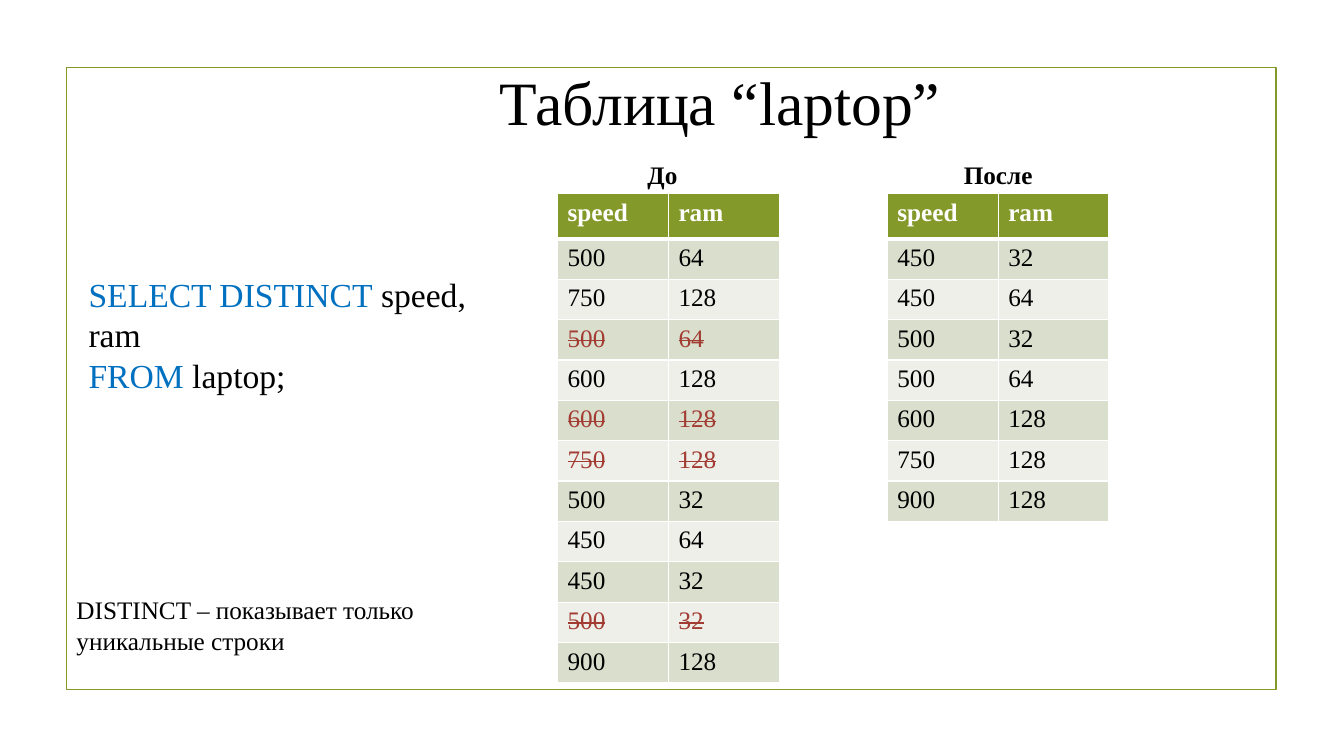
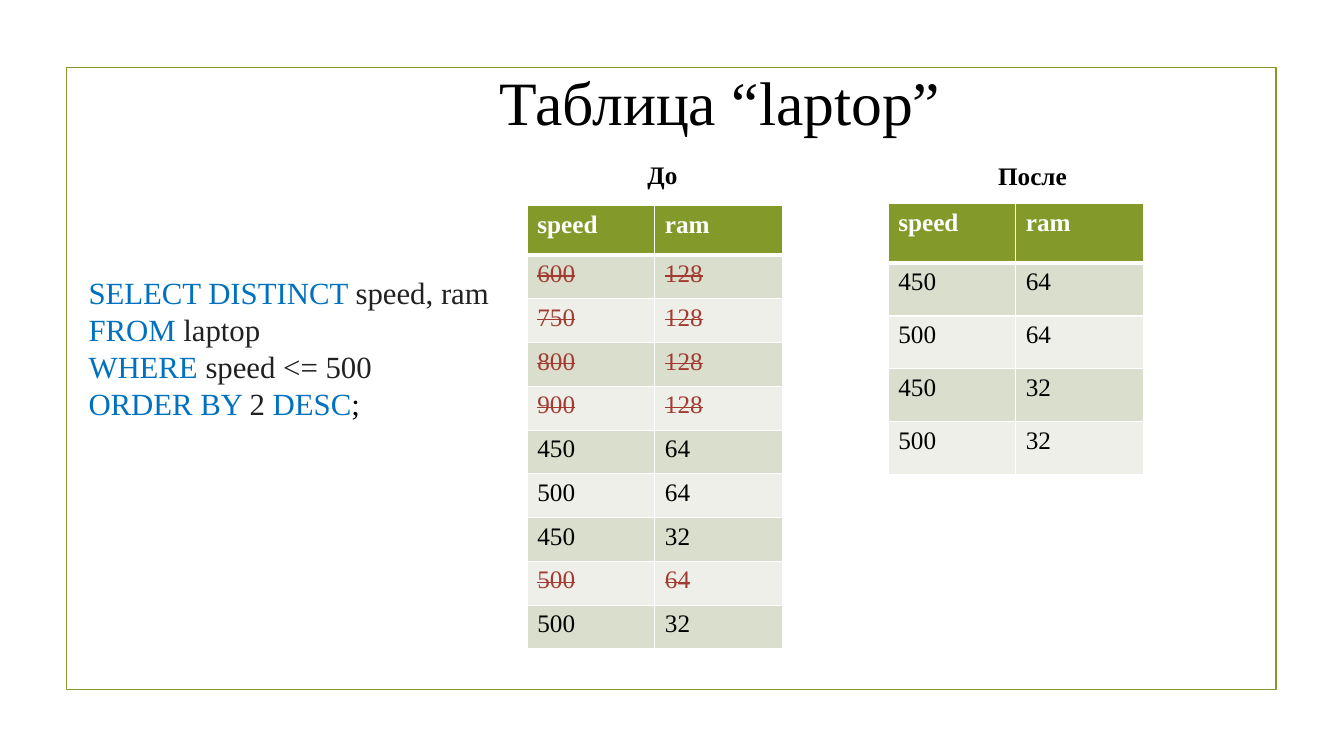
from lxml.etree import SubElement
from pptx import Presentation
from pptx.dml.color import RGBColor
from pptx.enum.shapes import MSO_SHAPE
from pptx.enum.text import MSO_ANCHOR, MSO_AUTO_SIZE, PP_ALIGN
from pptx.oxml.ns import qn
from pptx.util import Inches, Pt

FONT = "Times New Roman"
BLACK, WHITE, GRAY = "000000", "FFFFFF", "212121"
GREEN, BLUE, RED = "83992A", "0070C0", "A23C33"
BANDS = "D9DECD", "EDEFE8"
TITLE = "Таблица “laptop”"
HEAD = "speed", "ram"

# Texts: at, size, lines of (words, colour) runs.
# Tables: caption and its place, at, header height, rows, struck row numbers.
SLIDES = [
    {
        "texts": [
            ((0.78, 2.67, 4.45, 1.3), 24, [
                [("SELECT DISTINCT", BLUE), (" speed, ram", BLACK)],
                [("FROM ", BLUE), ("laptop;", BLACK)],
            ]),
            ((0.66, 5.85, 3.59, 0.71), 18, [
                [("DISTINCT – показывает только", BLACK)],
                [("уникальные строки", BLACK)],
            ]),
        ],
        "tables": [
            ("До", (5.38, 1.53), (5.53, 1.92, 2.2, 4.85), 0.45,
             [(500, 64), (750, 128), (500, 64), (600, 128), (600, 128),
              (750, 128), (500, 32), (450, 64), (450, 32), (500, 32),
              (900, 128)], {3, 5, 6, 10}),
            ("После", (8.71, 1.53), (8.8, 1.92, 2.2, 3.25), 0.45,
             [(450, 32), (450, 64), (500, 32), (500, 64), (600, 128),
              (750, 128), (900, 128)], set()),
        ],
    },
    {
        "texts": [
            ((0.78, 2.67, 4.26, 1.58), 22, [
                [("SELECT DISTINCT ", BLUE), ("speed, ram", GRAY)],
                [("FROM ", BLUE), ("laptop", GRAY)],
                [("WHERE ", BLUE), ("speed <= 500", GRAY)],
                [("ORDER BY ", BLUE), ("2", GRAY), (" DESC", BLUE),
                 (";", BLACK)],
            ]),
        ],
        "tables": [
            ("До", (5.38, 1.53), (5.23, 2.04, 2.53, 4.4), 0.49,
             [(600, 128), (750, 128), (800, 128), (900, 128), (450, 64),
              (500, 64), (450, 32), (500, 64), (500, 32)], {1, 2, 3, 4, 8}),
            ("После", (9.05, 1.54), (8.81, 2.02, 2.53, 2.69), 0.59,
             [(450, 64), (500, 64), (450, 32), (500, 32)], set()),
        ],
    },
]


def rgb(code):
    return RGBColor.from_string(code)


def place(at):
    return [Inches(x) for x in at]


def write(frame, lines, size=18, bold=False, strike=False,
          align=PP_ALIGN.LEFT):
    """Fill a text frame with lines of (words, colour) runs."""
    for i, line in enumerate(lines):
        para = frame.add_paragraph() if i else frame.paragraphs[0]
        para.alignment = align
        for words, color in line:
            run = para.add_run()
            run.text = words
            font = run.font
            font.name, font.size, font.bold = FONT, Pt(size), bold
            font.color.rgb = rgb(color)
            if strike:
                run._r.get_or_add_rPr().set("strike", "sngStrike")


def add_text(slide, at, lines, **style):
    frame = slide.shapes.add_textbox(*place(at)).text_frame
    frame.word_wrap = True
    write(frame, lines, **style)


def add_frame(slide):
    box = slide.shapes.add_shape(MSO_SHAPE.RECTANGLE,
                                 *place((0.66, 0.67, 12, 6.17)))
    box.shadow.inherit = False
    box.fill.background()
    box.line.color.rgb = rgb(GREEN)
    box.line.width = Pt(1.25)


def set_title(slide):
    title = slide.shapes.title
    title.left, title.top, title.width, title.height = place(
        (4.85, 0.58, 4.73, 0.84))
    frame = title.text_frame
    frame.word_wrap = True
    frame.auto_size = MSO_AUTO_SIZE.NONE
    frame.vertical_anchor = MSO_ANCHOR.TOP
    write(frame, [[(TITLE, BLACK)]], size=44)


def set_edges(cell, row):
    """Draw white cell borders, thick between header and body."""
    props = cell._tc.get_or_add_tcPr()
    thick = {0: "lnB", 1: "lnT"}.get(row)
    for tag in ("lnL", "lnR", "lnT", "lnB"):
        line = SubElement(props, qn("a:" + tag),
                          w=str(Pt(3 if tag == thick else 1)))
        fill = SubElement(line, qn("a:solidFill"))
        SubElement(fill, qn("a:srgbClr"), val=WHITE)


def add_grid(slide, at, head, rows, struck):
    count = len(rows) + 1
    grid = slide.shapes.add_table(count, len(HEAD), *place(at)).table
    step = (at[3] - head) / len(rows)
    for r, row in enumerate([HEAD] + rows):
        grid.rows[r].height = Inches(step if r else head)
        cut = r in struck
        color = WHITE if r == 0 else RED if cut else BLACK
        for c, value in enumerate(row):
            cell = grid.cell(r, c)
            set_edges(cell, r)
            cell.fill.solid()
            cell.fill.fore_color.rgb = rgb(BANDS[(r - 1) % 2] if r else GREEN)
            write(cell.text_frame, [[(str(value), color)]],
                  bold=r == 0, strike=cut)


def main():
    deck = Presentation()
    deck.slide_width, deck.slide_height = Inches(13.33), Inches(7.5)
    for data in SLIDES:
        slide = deck.slides.add_slide(deck.slide_layouts[5])
        add_frame(slide)
        set_title(slide)
        for at, size, lines in data["texts"]:
            add_text(slide, at, lines, size=size)
        for name, spot, at, head, rows, struck in data["tables"]:
            add_text(slide, spot + (2.38, 0.4), [[(name, BLACK)]],
                     bold=True, align=PP_ALIGN.CENTER)
            add_grid(slide, at, head, rows, struck)
    deck.save("out.pptx")


if __name__ == "__main__":
    main()
